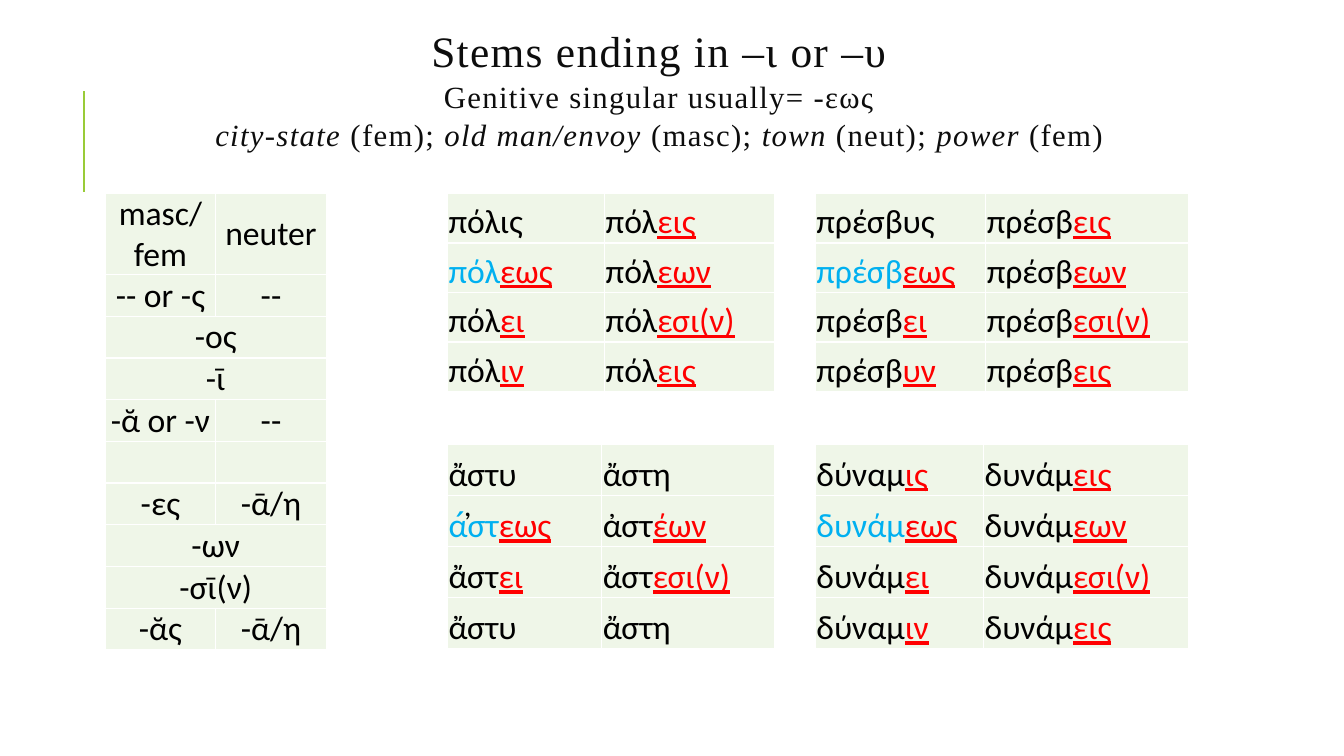
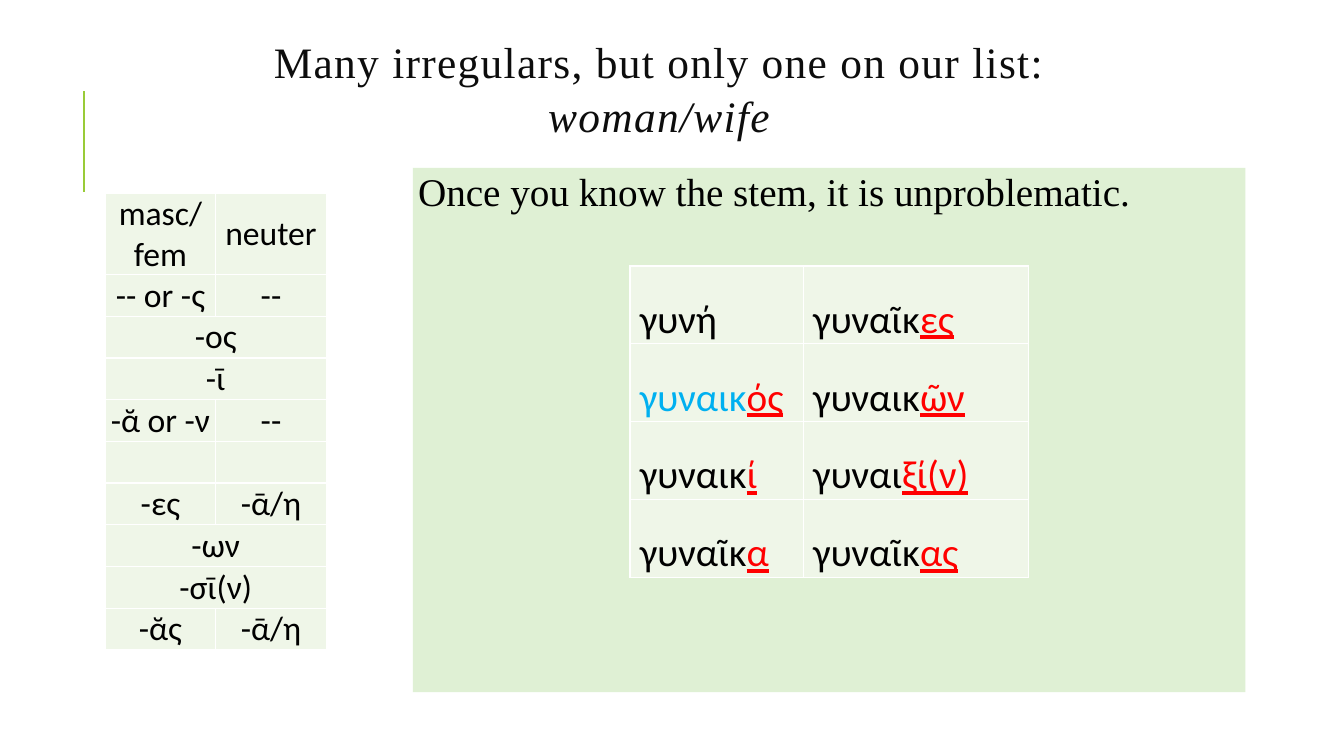
from dataclasses import dataclass

from lxml import etree
from pptx import Presentation
from pptx.dml.color import RGBColor
from pptx.enum.shapes import MSO_CONNECTOR, MSO_SHAPE
from pptx.enum.text import MSO_ANCHOR, PP_ALIGN
from pptx.oxml.ns import qn
from pptx.util import Pt

LEFT, CENTER = PP_ALIGN.LEFT, PP_ALIGN.CENTER
TOP, MIDDLE, BOTTOM = MSO_ANCHOR.TOP, MSO_ANCHOR.MIDDLE, MSO_ANCHOR.BOTTOM
STRAIGHT, RECTANGLE = MSO_CONNECTOR.STRAIGHT, MSO_SHAPE.RECTANGLE


@dataclass(frozen=True)
class Theme:
    title_color: RGBColor = RGBColor(0x0D, 0x0D, 0x0D)
    text: RGBColor = RGBColor(0, 0, 0)
    ending: RGBColor = RGBColor(0xFF, 0, 0)
    genitive_stem: RGBColor = RGBColor(0, 0xB0, 0xF0)
    accent: RGBColor = RGBColor(0x99, 0xCB, 0x38)
    panel: RGBColor = RGBColor(0xDF, 0xF0, 0xD4)
    cell: RGBColor = RGBColor(0xEF, 0xF6, 0xE8)
    border: str = "FFFFFF"
    serif: str = "Times New Roman"
    sans: str = "Calibri"
    title_size: float = 31
    subtitle_size: float = 22
    table_size: float = 24
    large_size: float = 28


THEME = Theme()
BREATHING = "̓"
TITLE_BOX = (52.5, 10, 836.5, 104.5)
ENDINGS_BOX = (75, 138, 158, 325.8)
ENDINGS_HEADER = 57.6

# A row with one entry spans both columns.
ENDINGS = [
    ("masc/\vfem", "neuter"),
    ("-- or -ς", "--"),
    ("-ος",),
    ("-ῑ",),
    ("-ᾰ or -ν", "--"),
    ("", ""),
    ("-ες", "-ᾱ/η"),
    ("-ων",),
    ("-σῑ(ν)",),
    ("-ᾰς", "-ᾱ/η"),
]

# Nominative, genitive, dative, accusative; "|" separates stem and ending.
POLIS = [("πόλις", "πόλ|εις"), ("πόλ|εως", "πόλ|εων"),
         ("πόλ|ει", "πόλ|εσι(ν)"), ("πόλ|ιν", "πόλ|εις")]
PRESBYS = [("πρέσβυς", "πρέσβ|εις"), ("πρέσβ|εως", "πρέσβ|εων"),
           ("πρέσβ|ει", "πρέσβ|εσι(ν)"), ("πρέσβ|υν", "πρέσβ|εις")]
ASTY = [("ἄστυ", "ἄστη"), ("ἄστ|εως", "ἀστ|έων"),
        ("ἄστ|ει", "ἄστ|εσι(ν)"), ("ἄστυ", "ἄστη")]
DYNAMIS = [("δύναμ|ις", "δυνάμ|εις"), ("δυνάμ|εως", "δυνάμ|εων"),
           ("δυνάμ|ει", "δυνάμ|εσι(ν)"), ("δύναμ|ιν", "δυνάμ|εις")]
GYNE = [("γυνή", "γυναῖκ|ες"), ("γυναικ|ός", "γυναικ|ῶν"),
        ("γυναικ|ί", "γυναι|ξί(ν)"), ("γυναῖκ|α", "γυναῖκ|ας")]
ASTY[1] = ("ά̓στ|εως".replace("ά̓", "α" + BREATHING + "́"), ASTY[1][1])


def points(values):
    return [Pt(value) for value in values]


def style_run(run, font, size, color):
    run.font.name, run.font.size = font, Pt(size)
    run.font.color.rgb = color


def add_run(paragraph, text, font, size, color):
    run = paragraph.add_run()
    run.text = text
    style_run(run, font, size, color)
    return run


def add_title(slide, box, lines):
    """Each line is (text, size); asterisks enclose italics."""
    frame = slide.shapes.add_textbox(*points(box)).text_frame
    frame.word_wrap = True
    frame.vertical_anchor = MIDDLE
    for index, (line, size) in enumerate(lines):
        paragraph = frame.add_paragraph() if index else frame.paragraphs[0]
        paragraph.alignment = CENTER
        paragraph.line_spacing = 1.04
        for part, text in enumerate(line.split("*")):
            if text:
                run = add_run(paragraph, text, THEME.serif, size, THEME.title_color)
                run.font.italic = part % 2 == 1
                run.font._element.set("spc", "95")


def add_accent_line(slide, x, top, bottom):
    line = slide.shapes.add_connector(STRAIGHT, *points((x, bottom, x, top)))
    line.line.color.rgb = THEME.accent
    line.line.width = Pt(1.5)
    etree.SubElement(line._element.spPr, qn("a:effectLst"))


def add_borders(cell):
    properties = cell._tc.get_or_add_tcPr()
    for index, side in enumerate(("lnL", "lnR", "lnT", "lnB")):
        border = etree.Element(qn(f"a:{side}"), w=str(Pt(1)))
        fill = etree.SubElement(border, qn("a:solidFill"))
        etree.SubElement(fill, qn("a:srgbClr"), val=THEME.border)
        properties.insert(index, border)


def add_grid(slide, box, column_widths, row_heights, anchor, indent=0.7):
    """Add an empty table whose cells already have fill, borders and margins."""
    table = slide.shapes.add_table(
        len(row_heights), len(column_widths), *points(box)).table
    table.first_row = table.horz_banding = False
    for column, width in zip(table.columns, column_widths):
        column.width = Pt(width)
    for row, height in zip(table.rows, row_heights):
        row.height = Pt(height)
    for cell in table.iter_cells():
        cell.fill.solid()
        cell.fill.fore_color.rgb = THEME.cell
        add_borders(cell)
        cell.vertical_anchor = anchor
        cell.margin_left = Pt(indent)
        cell.margin_top = cell.margin_right = Pt(0.5)
        cell.margin_bottom = 0
    return table


def add_endings(slide, box):
    width, height = box[2:]
    body_rows = len(ENDINGS) - 1
    heights = [ENDINGS_HEADER] + [(height - ENDINGS_HEADER) / body_rows] * body_rows
    table = add_grid(slide, box, [width / 2] * 2, heights, MIDDLE)
    for row, entries in enumerate(ENDINGS):
        if len(entries) == 1:
            table.cell(row, 0).merge(table.cell(row, 1))
        for column, entry in enumerate(entries):
            paragraph = table.cell(row, column).text_frame.paragraphs[0]
            paragraph.text = entry
            paragraph.alignment = CENTER
            for run in paragraph.runs:
                style_run(run, THEME.sans, THEME.table_size, THEME.text)


def write_form(paragraph, form, size, stem_color):
    """Write stem and underlined ending; a separate breathing stays black."""
    stem, _, ending = form.partition("|")
    before, breathing, after = stem.partition(BREATHING)
    for text, color in ((before, stem_color), (breathing, THEME.text),
                        (after, stem_color)):
        if text:
            add_run(paragraph, text, THEME.sans, size, color)
    if ending:
        run = add_run(paragraph, ending, THEME.sans, size, THEME.ending)
        run.font.underline = True


def add_paradigm(slide, box, singular_width, forms, size=THEME.table_size, indent=0.7):
    width, height = box[2:]
    table = add_grid(slide, box, [singular_width, width - singular_width],
                     [height / len(forms)] * len(forms), BOTTOM, indent)
    for row, pair in enumerate(forms):
        for column, form in enumerate(pair):
            is_genitive_singular = (row, column) == (1, 0)
            color = THEME.genitive_stem if is_genitive_singular else THEME.text
            write_form(table.cell(row, column).text_frame.paragraphs[0],
                       form, size, color)


def add_panel(slide, box, text):
    panel = slide.shapes.add_shape(RECTANGLE, *points(box))
    panel.shadow.inherit = False
    panel.fill.solid()
    panel.fill.fore_color.rgb = THEME.panel
    panel.line.fill.background()
    frame = panel.text_frame
    frame.word_wrap = True
    frame.vertical_anchor = TOP
    frame.margin_left = frame.margin_right = Pt(3.6)
    frame.margin_top = frame.margin_bottom = Pt(3.6)
    paragraph = frame.paragraphs[0]
    paragraph.text = text
    paragraph.alignment = LEFT
    paragraph.line_spacing = 0.9
    style_run(paragraph.runs[0], THEME.serif, THEME.large_size, THEME.text)


def add_lesson_slide(deck, title_lines):
    """Add a slide with the parts that every lesson slide shares."""
    slide = deck.slides.add_slide(deck.slide_layouts[6])
    add_accent_line(slide, 60, 65, 137)
    add_title(slide, TITLE_BOX, title_lines)
    add_endings(slide, ENDINGS_BOX)
    return slide


def add_vowel_stems(deck):
    slide = add_lesson_slide(deck, [
        ("Stems ending in –ι or –υ", THEME.title_size),
        ("Genitive singular usually= -εως", THEME.subtitle_size),
        ("*city-state *(fem); *old man/envoy* (masc); *town *(neut); *power *(fem)",
         THEME.subtitle_size),
    ])
    left, right = (319.7, 233.3), (582.5, 266.4)
    upper, lower = (138.2, 141.4), (317.5, 146)
    for (x, width), (y, height), singular_width, forms in (
        (left, upper, 112.3, POLIS),
        (right, upper, 121.7, PRESBYS),
        (left, lower, 110.2, ASTY),
        (right, lower, 120.2, DYNAMIS),
    ):
        add_paradigm(slide, (x, y, width, height), singular_width, forms)


def add_irregular(deck):
    slide = add_lesson_slide(deck, [
        ("Many irregulars, but only one on our list:", THEME.title_size),
        ("*woman/wife*", THEME.title_size),
    ])
    add_panel(slide, (295, 120, 594.5, 374.4),
              "Once you know the stem, it is unproblematic.")
    add_paradigm(slide, (450, 190, 284.4, 222.5), 123.8, GYNE,
                 THEME.large_size, indent=7)


def main():
    deck = Presentation()
    deck.slide_width, deck.slide_height = Pt(960), Pt(540)
    add_vowel_stems(deck)
    add_irregular(deck)
    deck.save("out.pptx")


if __name__ == "__main__":
    main()
